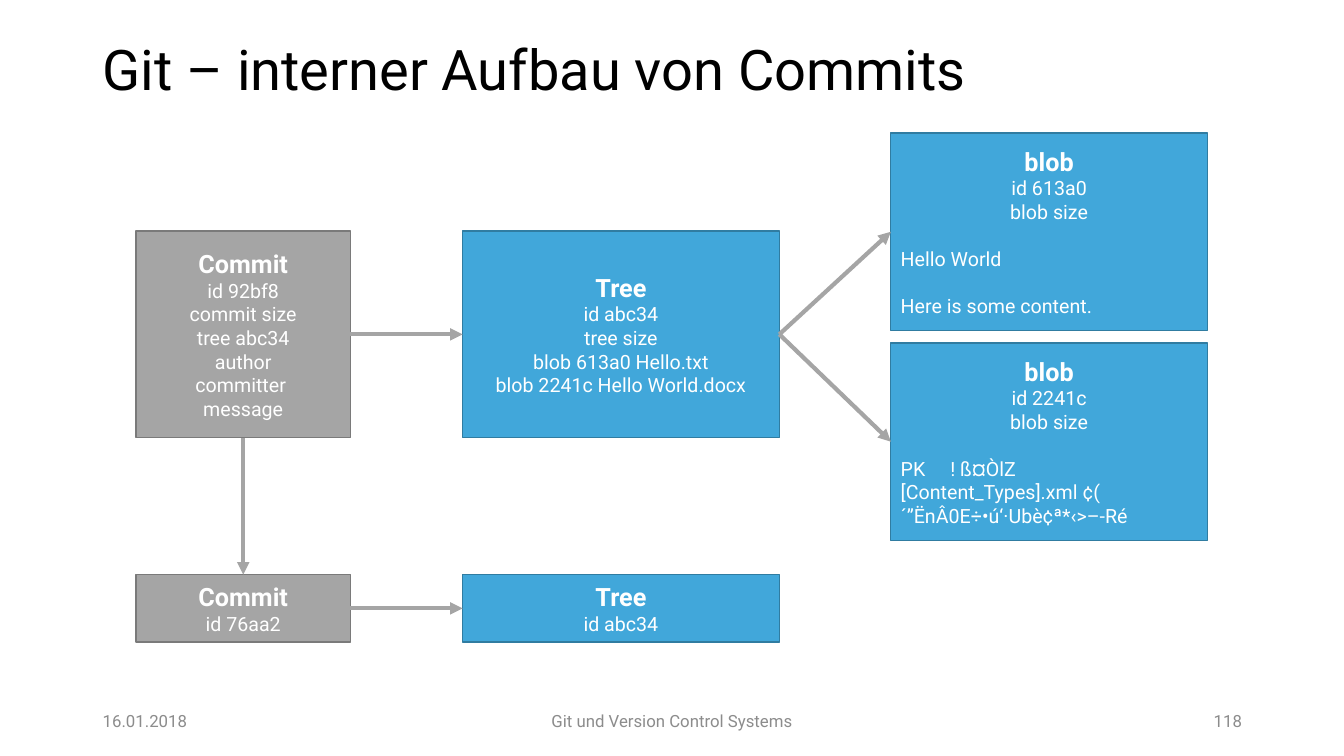
from lxml.etree import SubElement
from pptx import Presentation
from pptx.dml.color import RGBColor
from pptx.enum.shapes import MSO_CONNECTOR as Connector, MSO_SHAPE as Shape
from pptx.enum.text import MSO_ANCHOR as Anchor, PP_ALIGN as Align
from pptx.oxml.ns import qn
from pptx.util import Cm, Pt

COLORS = {
    "black": "000000", "white": "FFFFFF", "footer": "8C8C8C",
    "gray": "A5A5A5", "gray_edge": "7A7A7A",
    "blue": "41A7DA", "blue_edge": "307CA1",
}
TOP, LEFT, BOTTOM, RIGHT = range(4)  # connection sites of a rectangle
BODY_SIZE = 14
BODY_LINE = 16.8
TAB_STOP = Cm(1.25)


def color(name):
    return RGBColor.from_string(COLORS[name])


def write(para, text, size=BODY_SIZE, ink="white", bold=False,
          align=Align.LEFT, before=0, spacing=None):
    para.alignment = align
    para.space_before = Pt(before)
    if spacing:
        para.line_spacing = spacing
    if "\t" in text:
        tabs = SubElement(para._p.get_or_add_pPr(), qn("a:tabLst"))
        SubElement(tabs, qn("a:tab"), pos=str(TAB_STOP), algn="l")
    span = para.add_run()
    span.text = text
    span.font.name = "Roboto"
    span.font.size = Pt(size)
    span.font.bold = bold
    span.font.color.rgb = color(ink)


class Diagram:
    def __init__(self, page):
        self.page = page

    def label(self, text, left, top, width, height, **style):
        box = self.page.shapes.add_textbox(Cm(left), Cm(top), Cm(width), Cm(height))
        frame = box.text_frame
        frame.word_wrap = True
        frame.vertical_anchor = Anchor.MIDDLE
        write(frame.paragraphs[0], text, **style)

    def node(self, heading, fields, left, top, width, height, hue, content=()):
        """Draw a Git object: bold heading, centred fields, left-aligned content.

        Content is a list of blocks, each set off by one line of space.
        """
        box = self.page.shapes.add_shape(
            Shape.RECTANGLE, Cm(left), Cm(top), Cm(width), Cm(height))
        box.shadow.inherit = False
        box.fill.solid()
        box.fill.fore_color.rgb = color(hue)
        box.line.color.rgb = color(hue + "_edge")
        box.line.width = Pt(1)
        frame = box.text_frame
        frame.word_wrap = True
        frame.vertical_anchor = Anchor.MIDDLE
        write(frame.paragraphs[0], heading, size=18, bold=True, align=Align.CENTER)
        for field in fields:
            write(frame.add_paragraph(), field, align=Align.CENTER)
        for block in content:
            for index, line in enumerate(block):
                write(frame.add_paragraph(), line, before=0 if index else BODY_LINE)
        return box

    def arrow(self, source, target, start=RIGHT, end=LEFT):
        link = self.page.shapes.add_connector(Connector.STRAIGHT, 0, 0, 0, 0)
        link.begin_connect(source, start)
        link.end_connect(target, end)
        link.line.color.rgb = color("gray")
        link.line.width = Pt(3)
        SubElement(link.line._get_or_add_ln(), qn("a:tailEnd"), type="triangle")
        SubElement(link._element.spPr, qn("a:effectLst"))


def main():
    deck = Presentation()
    deck.slide_width, deck.slide_height = Cm(33.87), Cm(19.05)
    diagram = Diagram(deck.slides.add_slide(deck.slide_layouts[6]))

    diagram.label("Git – interner Aufbau von Commits", 2.34, 0.71, 29.21, 2.24,
                  size=40, ink="black", spacing=0.9)
    for text, left, width, align in (
        ("16.01.2018", 2.34, 7.62, Align.LEFT),
        ("Git und Version Control Systems", 11.22, 11.43, Align.CENTER),
        ("118", 23.93, 7.62, Align.RIGHT),
    ):
        diagram.label(text, left, 17.65, width, 1.02,
                      size=12, ink="footer", align=align)

    commit_column = {"left": 3.43, "width": 5.4, "hue": "gray"}
    tree_column = {"left": 11.66, "width": 7.98, "hue": "blue"}
    blob_column = {"left": 22.45, "width": 7.98, "height": 4.98, "hue": "blue"}
    main_row = {"top": 5.82, "height": 5.21}
    parent_row = {"top": 14.48, "height": 1.7}

    commit = diagram.node(
        "Commit",
        ["id 92bf8", "commit size", "tree abc34", "author", "committer ", "message"],
        **commit_column, **main_row)
    tree = diagram.node(
        "Tree",
        ["id abc34", "tree size", "blob 613a0 Hello.txt", "blob 2241c Hello World.docx"],
        **tree_column, **main_row)
    text_blob = diagram.node(
        "blob", ["id 613a0", "blob size"], top=3.35, **blob_column,
        content=[["Hello World"], ["Here is some content."]])
    binary_blob = diagram.node(
        "blob", ["id 2241c", "blob size"], top=8.64, **blob_column,
        content=[["PK\t! ß¤ÒlZ", "[Content_Types].xml ¢(",
                  "´”ËnÂ0E÷•ú‘·Ubè¢ª*‹>–-Ré"]])
    parent_commit = diagram.node("Commit", ["id 76aa2"], **commit_column, **parent_row)
    parent_tree = diagram.node("Tree", ["id abc34"], **tree_column, **parent_row)

    diagram.arrow(commit, tree)
    diagram.arrow(tree, text_blob)
    diagram.arrow(tree, binary_blob)
    diagram.arrow(commit, parent_commit, BOTTOM, TOP)
    diagram.arrow(parent_commit, parent_tree)

    deck.save("out.pptx")


if __name__ == "__main__":
    main()
